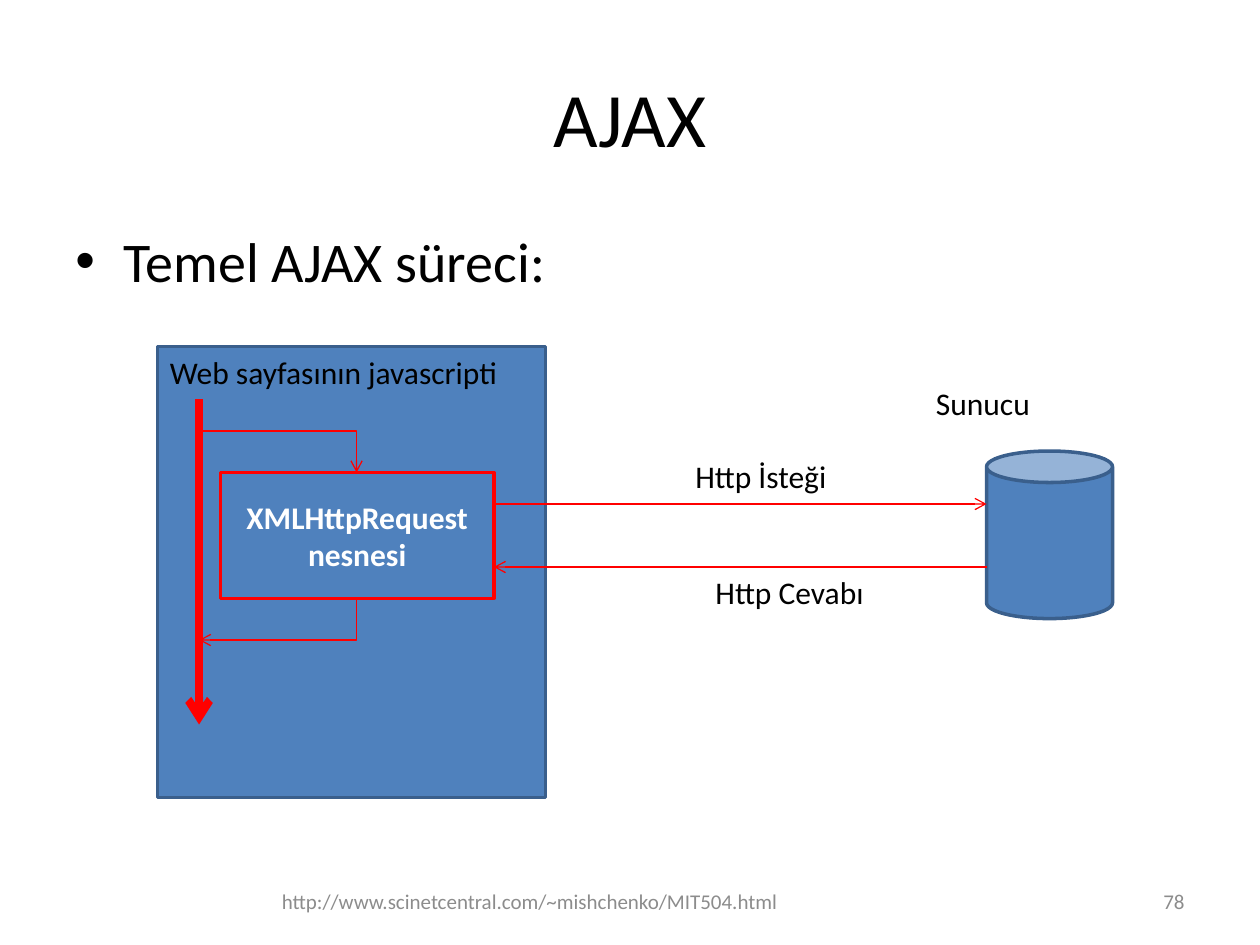
import pptx
import pptx.dml.color
import pptx.enum.shapes
import pptx.enum.text
import pptx.oxml
import pptx.oxml.ns
import pptx.util
from pptx.util import Inches

SHAPE = pptx.enum.shapes.MSO_SHAPE
CONNECTOR = pptx.enum.shapes.MSO_CONNECTOR
ALIGN = pptx.enum.text.PP_ALIGN
ANCHOR = pptx.enum.text.MSO_ANCHOR

FONT = "Calibri"
BLACK, WHITE, GRAY = "000000", "FFFFFF", "8C8C8C"
BLUE, NAVY, RED = "4F81BD", "3A5F8C", "FF0000"

TITLE = "AJAX"
BULLET = "Temel AJAX süreci:"
FOOTERS = [
    ("http://www.scinetcentral.com/~mishchenko/MIT504.html", (1.83, 6.95, 4.75, 0.4), ALIGN.CENTER),
    ("78", (7.17, 6.95, 2.33, 0.4), ALIGN.RIGHT),
]
SHAPES = [
    (SHAPE.RECTANGLE, (1.25, 2.75, 3.08, 3.58), NAVY, ""),
    (SHAPE.RECTANGLE, (1.75, 3.75, 2.17, 1), RED, "XMLHttpRequest nesnesi"),
    (SHAPE.CAN, (7.83, 3.58, 1, 1.33), NAVY, ""),
]
LABELS = [
    ("Web sayfasının javascripti", (1.25, 2.75, 2.83, 0.4)),
    ("Sunucu", (7.33, 3, 0.96, 0.4)),
    ("Http İsteği", (5.42, 3.58, 1.26, 0.4)),
    ("Http Cevabı", (5.58, 4.5, 1.4, 0.4)),
]
STRAIGHT_ARROWS = [
    ((3.92, 4), (7.83, 4), 0.75),
    ((7.83, 4.5), (3.92, 4.5), 0.75),
    ((1.58, 3.17), (1.58, 5.75), 4.5),
]
BENT_ARROWS = [
    ((1.58, 3.42, 1.25, 0.33), 0),
    ((2.04, 4.29, 0.33, 1.25), 90),
]


def color(value):
    return pptx.dml.color.RGBColor.from_string(value)


def add_element(parent, tag, **attributes):
    element = pptx.oxml.parse_xml(f"<a:{tag} {pptx.oxml.ns.nsdecls('a')}/>")
    for name, value in attributes.items():
        element.set(name, value)
    parent.append(element)


def write(box, text, size, text_color=BLACK, align=ALIGN.LEFT, anchor=ANCHOR.TOP, bold=False, wrap=True):
    frame = box.text_frame
    frame.text = text
    frame.word_wrap = wrap
    frame.vertical_anchor = anchor
    para = frame.paragraphs[0]
    para.alignment = align
    for span in para.runs:
        span.font.name = FONT
        span.font.size = pptx.util.Pt(size)
        span.font.bold = bold
        span.font.color.rgb = color(text_color)
    return para


def add_text(page, place, *args, **options):
    box = page.shapes.add_textbox(*map(Inches, place))
    return write(box, *args, **options)


def add_node(page, kind, place, line_color, text):
    node = page.shapes.add_shape(kind, *map(Inches, place))
    node.shadow.inherit = False
    node.fill.solid()
    node.fill.fore_color.rgb = color(BLUE)
    node.line.color.rgb = color(line_color)
    node.line.width = pptx.util.Pt(2)
    if text:
        write(node, text, 18, WHITE, ALIGN.CENTER, ANCHOR.MIDDLE, bold=True)


def add_arrow(page, kind, start, end, width=0.75):
    arrow = page.shapes.add_connector(kind, *map(Inches, start + end))
    arrow.line.color.rgb = color(RED)
    arrow.line.width = pptx.util.Pt(width)
    add_element(arrow.line._get_or_add_ln(), "tailEnd", type="arrow")
    add_element(arrow._element.spPr, "effectLst")
    return arrow


def add_bent_arrow(page, place, degrees):
    left, top, width, height = place
    arrow = add_arrow(page, CONNECTOR.ELBOW, (left, top), (left + width, top + height))
    properties = arrow._element.spPr
    properties.find(pptx.oxml.ns.qn("a:prstGeom")).set("prst", "bentConnector2")
    properties.find(pptx.oxml.ns.qn("a:xfrm")).set("rot", str(degrees * 60000))


def main():
    deck = pptx.Presentation()
    deck.slide_width, deck.slide_height = Inches(10), Inches(7.5)
    page = deck.slides.add_slide(deck.slide_layouts[5])

    title = page.shapes.title
    title.left, title.top, title.width, title.height = map(Inches, (0.5, 0.3, 9, 1.25))
    write(title, TITLE, 44, align=ALIGN.CENTER, anchor=ANCHOR.MIDDLE)

    para = add_text(page, (0.5, 1.75, 9, 4.95), BULLET, 32)
    properties = para._p.get_or_add_pPr()
    properties.set("marL", str(Inches(0.38)))
    properties.set("indent", str(-Inches(0.38)))
    add_element(properties, "buFont", typeface="Arial")
    add_element(properties, "buChar", char="•")

    for text, place, align in FOOTERS:
        add_text(page, place, text, 12, GRAY, align, ANCHOR.MIDDLE)
    for node in SHAPES:
        add_node(page, *node)
    for text, place in LABELS:
        add_text(page, place, text, 18, wrap=False)
    for start, end, width in STRAIGHT_ARROWS:
        add_arrow(page, CONNECTOR.STRAIGHT, start, end, width)
    for place, degrees in BENT_ARROWS:
        add_bent_arrow(page, place, degrees)

    deck.save("out.pptx")


if __name__ == "__main__":
    main()
